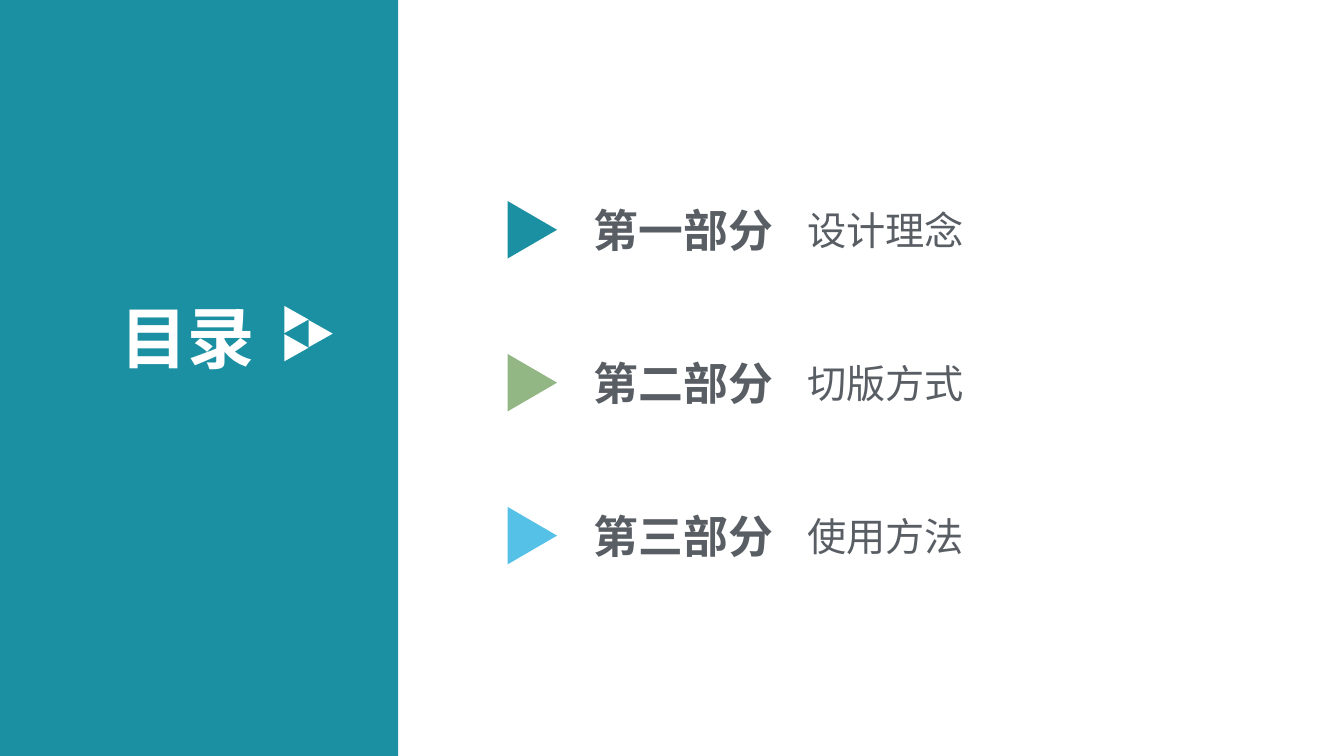
from lxml import etree
from pptx import Presentation
from pptx.dml.color import RGBColor
from pptx.enum.shapes import MSO_SHAPE
from pptx.enum.text import MSO_AUTO_SIZE
from pptx.oxml.ns import qn
from pptx.util import Inches, Pt

# Content
TITLE = "目录"
SECTIONS = [
    ("第一部分", "设计理念", "1B90A2"),
    ("第二部分", "切版方式", "93B784"),
    ("第三部分", "使用方法", "55C1E7"),
]

# Style
FONT = "Noto Sans CJK SC"
TEAL, WHITE, GREY = "1B90A2", "FFFFFF", "595E64"
TITLE_FORMAT = {"size": Pt(48), "bold": True}
PART_FORMAT = {"size": Pt(32), "bold": True}
NAME_FORMAT = {"size": Pt(28), "bold": False}

# Grid, in inches
WIDTH, HEIGHT = 13.33, 7.5
PANEL_WIDTH = 3.95
FIRST_ROW, ROW_STEP = 2.28, 1.517
MARKER_X, PART_X, NAME_X = 5.28, 5.79, 7.91
EMBLEM_X, EMBLEM_Y = 2.94, 3.31
EMBLEM_CELLS = [(0, -1), (0, 1), (1, 0)]
EMBLEM_STEP_X, EMBLEM_STEP_Y = 0.24, 0.14


def color(hex_value):
    return RGBColor.from_string(hex_value)


def add_filled(kind, left, top, width, height, fill):
    shape = slide.shapes.add_shape(
        kind, Inches(left), Inches(top), Inches(width), Inches(height))
    shape.shadow.inherit = False
    shape.fill.solid()
    shape.fill.fore_color.rgb = color(fill)
    shape.line.fill.background()
    return shape


def add_arrow(center_x, center_y, base, depth, fill):
    """Triangle that points right, placed by its centre."""
    arrow = add_filled(MSO_SHAPE.ISOSCELES_TRIANGLE, center_x - base / 2,
                       center_y - depth / 2, base, depth, fill)
    arrow.rotation = 90


def add_text(text, left, center_y, width, height, text_color, formats):
    box = slide.shapes.add_textbox(Inches(left), Inches(center_y - height / 2),
                                   Inches(width), Inches(height))
    frame = box.text_frame
    frame.word_wrap = True
    frame.auto_size = MSO_AUTO_SIZE.SHAPE_TO_FIT_TEXT
    run = frame.paragraphs[0].add_run()
    run.text = text
    run.font.name = FONT
    run.font.color.rgb = color(text_color)
    for name, value in formats.items():
        setattr(run.font, name, value)
    east_asian = etree.SubElement(run.font._element, qn("a:ea"))
    east_asian.set("typeface", FONT)


presentation = Presentation()
presentation.slide_width = Inches(WIDTH)
presentation.slide_height = Inches(HEIGHT)
slide = presentation.slides.add_slide(presentation.slide_layouts[6])

# Title panel with its emblem of three triangles
add_filled(MSO_SHAPE.RECTANGLE, 0, 0, PANEL_WIDTH, HEIGHT, TEAL)
add_text(TITLE, 1.1, 3.345, 1.74, 0.91, WHITE, TITLE_FORMAT)
for column, row in EMBLEM_CELLS:
    add_arrow(EMBLEM_X + column * EMBLEM_STEP_X, EMBLEM_Y + row * EMBLEM_STEP_Y,
              0.27, 0.24, WHITE)

# Section rows
for index, (part, name, marker_color) in enumerate(SECTIONS):
    middle = FIRST_ROW + index * ROW_STEP
    add_arrow(MARKER_X, middle, 0.57, 0.49, marker_color)
    add_text(part, PART_X, middle, 2.11, 0.64, GREY, PART_FORMAT)
    add_text(name, NAME_X, middle, 3.09, 0.57, GREY, NAME_FORMAT)

presentation.save("out.pptx")
